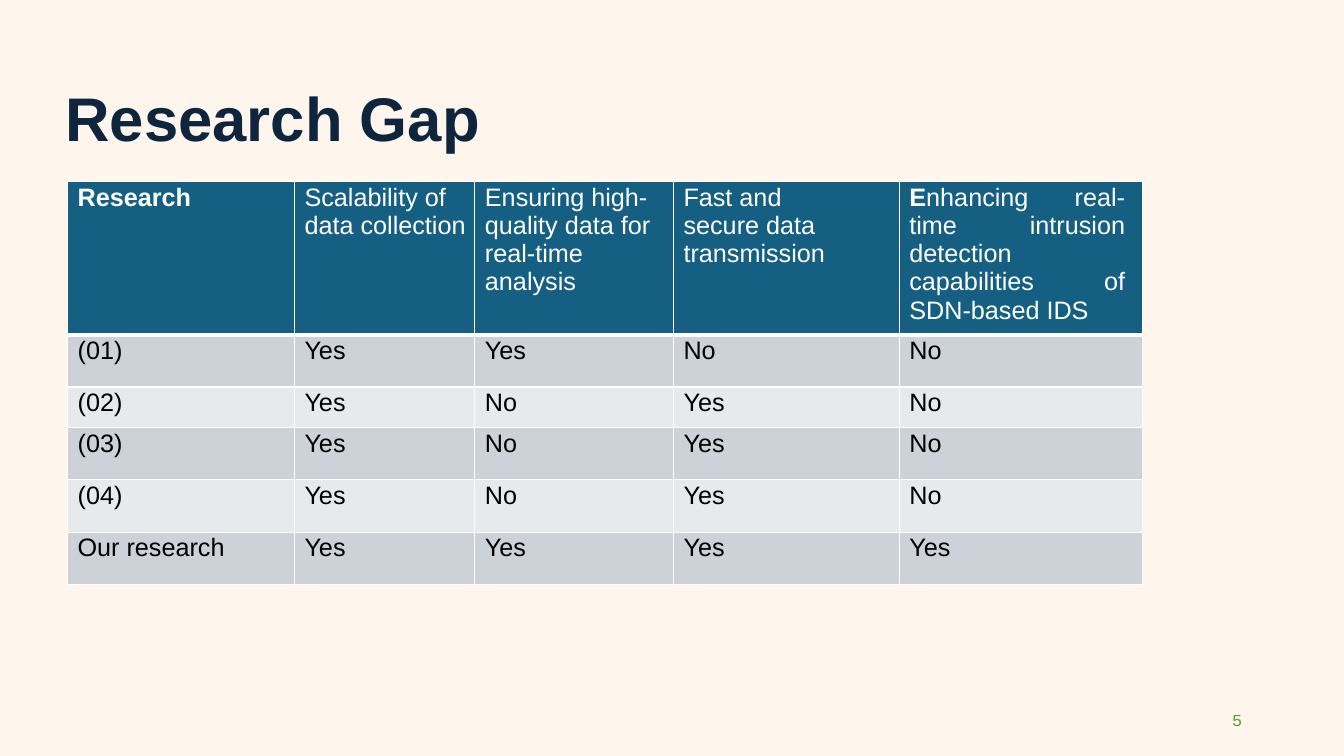
from pptx import Presentation
from pptx.dml.color import RGBColor
from pptx.enum.text import MSO_ANCHOR, PP_ALIGN
from pptx.oxml.ns import qn
from pptx.util import Inches, Pt
from lxml import etree

LEFT, JUSTIFY = PP_ALIGN.LEFT, PP_ALIGN.JUSTIFY
TOP, MIDDLE = MSO_ANCHOR.TOP, MSO_ANCHOR.MIDDLE

BACKGROUND = "FEF6ED"
NAVY = "0F253E"
TEAL = "155F82"
GREEN = "4EA72D"
WHITE = "FFFFFF"
BLACK = "000000"
BANDS = ("CCD2D7", "E7EAEC")

HEADERS = [
    [("Research", True)],
    [("Scalability of data collection", False)],
    [("Ensuring high-quality data for real-time analysis", False)],
    [("Fast and secure data transmission", False)],
    [("E", True),
     ("nhancing real-time intrusion detection capabilities of SDN-based IDS", False)],
]
FINDINGS = [
    ("(01)", "Yes", "Yes", "No", "No"),
    ("(02)", "Yes", "No", "Yes", "No"),
    ("(03)", "Yes", "No", "Yes", "No"),
    ("(04)", "Yes", "No", "Yes", "No"),
    ("Our research", "Yes", "Yes", "Yes", "Yes"),
]
COLUMN_WIDTHS = (2.25, 1.79, 1.97, 2.24, 2.41)
ROW_HEIGHTS = (1.52, 0.52, 0.4, 0.52, 0.52, 0.52)
HEADER_RIGHT_INDENTS = (0, 0, 0, 0.6, 0.17)


def color(value):
    return RGBColor.from_string(value)


class SlideBuilder:
    def __init__(self, presentation, font="Arial"):
        self.font = font
        self.slide = presentation.slides.add_slide(presentation.slide_layouts[6])
        fill = self.slide.background.fill
        fill.solid()
        fill.fore_color.rgb = color(BACKGROUND)

    def add_runs(self, paragraph, runs, size, ink, font=None, indent=0, right_indent=0,
                 align=LEFT):
        paragraph.alignment = align
        properties = paragraph._p.get_or_add_pPr()
        properties.set("marL", str(Inches(indent)))
        properties.set("marR", str(Inches(right_indent)))
        properties.set("indent", "0")
        for text, bold in runs:
            run = paragraph.add_run()
            run.text = text
            run.font.name = font or self.font
            run.font.size = Pt(size)
            run.font.bold = bold
            run.font.color.rgb = color(ink)

    def text(self, box, runs, size, ink, anchor=TOP, line_spacing=None, **style):
        shape = self.slide.shapes.add_textbox(*map(Inches, box))
        frame = shape.text_frame
        frame.word_wrap = True
        frame.vertical_anchor = anchor
        frame.margin_left = frame.margin_right = 0
        frame.margin_top = frame.margin_bottom = 0
        paragraph = frame.paragraphs[0]
        if line_spacing:
            paragraph.line_spacing = Pt(line_spacing)
        self.add_runs(paragraph, runs, size, ink, **style)

    def borders(self, cell, widths):
        properties = cell._tc.get_or_add_tcPr()
        for position, (side, width) in enumerate(zip("LRTB", widths)):
            line = etree.Element(qn(f"a:ln{side}"), w=str(Pt(width)))
            fill = etree.SubElement(line, qn("a:solidFill"))
            etree.SubElement(fill, qn("a:srgbClr"), val=WHITE)
            properties.insert(position, line)

    def cell(self, cell, runs, fill, ink, widths, **style):
        cell.fill.solid()
        cell.fill.fore_color.rgb = color(fill)
        cell.margin_left = cell.margin_right = cell.margin_bottom = 0
        cell.margin_top = Inches(0.02)
        cell.vertical_anchor = TOP
        self.add_runs(cell.text_frame.paragraphs[0], runs, 18, ink, indent=0.1, **style)
        self.borders(cell, widths)

    def table(self, left, top):
        frame = self.slide.shapes.add_table(
            len(ROW_HEIGHTS), len(COLUMN_WIDTHS), Inches(left), Inches(top),
            Inches(sum(COLUMN_WIDTHS)), Inches(sum(ROW_HEIGHTS)))
        table = frame.table
        for column, width in zip(table.columns, COLUMN_WIDTHS):
            column.width = Inches(width)
        for row, height in zip(table.rows, ROW_HEIGHTS):
            row.height = Inches(height)
        last = len(HEADERS) - 1
        for index, runs in enumerate(HEADERS):
            self.cell(table.cell(0, index), runs, TEAL, WHITE, (1, 1, 1, 3),
                      right_indent=HEADER_RIGHT_INDENTS[index],
                      align=JUSTIFY if index == last else LEFT)
        for number, finding in enumerate(FINDINGS):
            widths = (1, 1, 1 if number else 3, 1)
            for index, answer in enumerate(finding):
                self.cell(table.cell(number + 1, index), [(answer, False)],
                          BANDS[number % 2], BLACK, widths)


def main():
    presentation = Presentation()
    presentation.slide_width = Inches(13.33)
    presentation.slide_height = Inches(7.5)
    builder = SlideBuilder(presentation)
    builder.text((0.64, 0.55, 11.5, 1.22), [("Research Gap", True)], 44, NAVY,
                 anchor=MIDDLE, indent=0.01)
    builder.table(0.67, 1.8)
    builder.text((12.18, 7.05, 0.18, 0.22), [("5", False)], 12, GREEN,
                 line_spacing=13.4, font="Courier New", indent=0.04)
    presentation.save("out.pptx")


if __name__ == "__main__":
    main()
